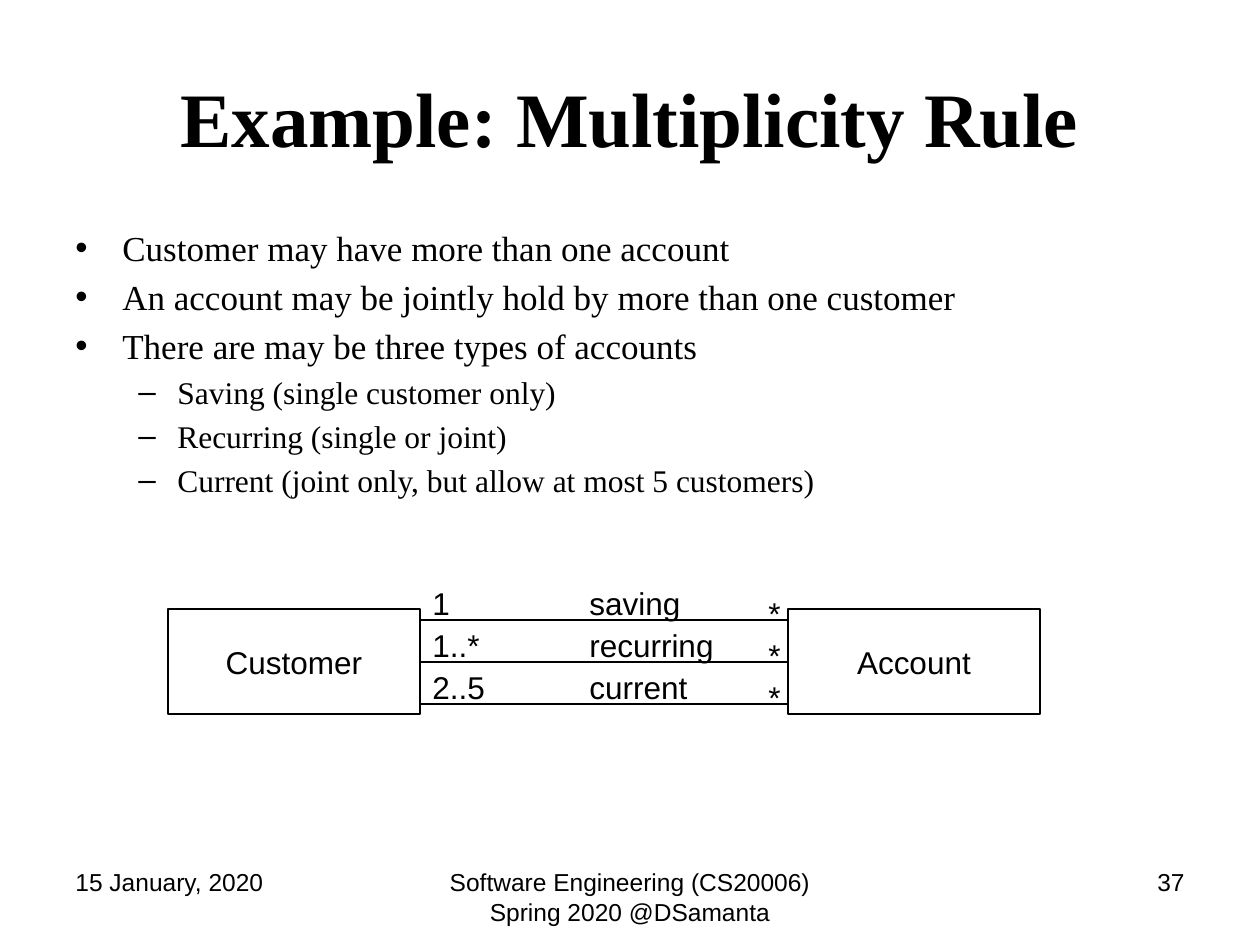
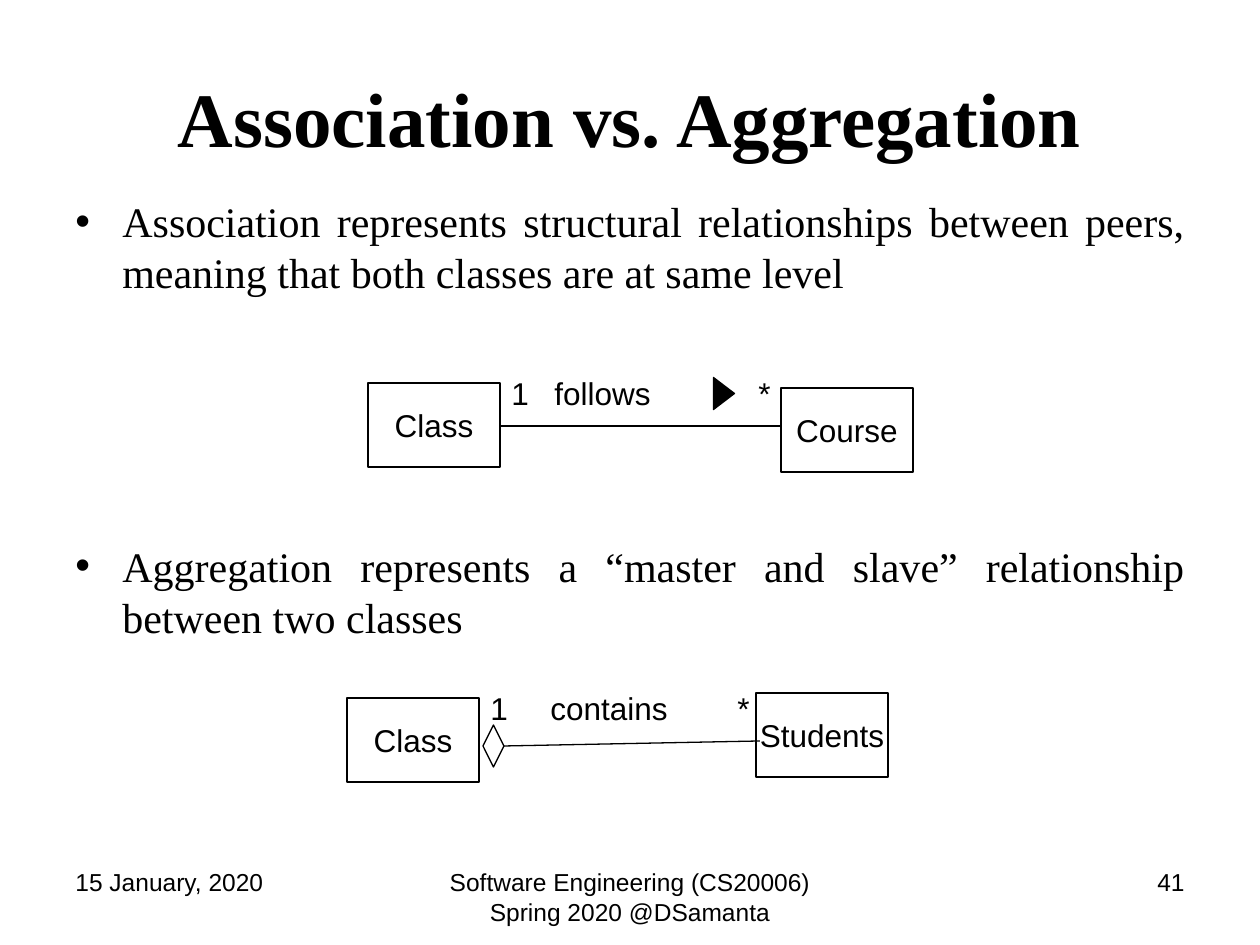
"""Build two class-diagram slides: multiplicity rule, and association vs. aggregation."""
from lxml import etree
from pptx import Presentation
from pptx.dml.color import RGBColor
from pptx.enum.shapes import MSO_CONNECTOR, MSO_SHAPE
from pptx.enum.text import MSO_ANCHOR, PP_ALIGN
from pptx.oxml.ns import qn
from pptx.util import Emu, Pt

SCALE = 914400 // 126
LEFT, CENTER, RIGHT, JUSTIFY = PP_ALIGN.LEFT, PP_ALIGN.CENTER, PP_ALIGN.RIGHT, PP_ALIGN.JUSTIFY
TOP, MIDDLE = MSO_ANCHOR.TOP, MSO_ANCHOR.MIDDLE
RECTANGLE, STRAIGHT = MSO_SHAPE.RECTANGLE, MSO_CONNECTOR.STRAIGHT
TRIANGLE, DIAMOND = MSO_SHAPE.FLOWCHART_EXTRACT, MSO_SHAPE.FLOWCHART_DECISION
COLORS = {"ink": "000000", "paper": "FFFFFF"}
SERIF, SANS = "Times New Roman", "Arial"
MARGIN, CONTENT_WIDTH = 63, 1134
FOOTER_TOP, FOOTER_HEIGHT = 861, 66
LABEL_HEIGHT = 50
LEVELS = [("•", 47, 47), ("–", 102, 39)]

DATE = "15 January, 2020"
COURSE = "Software Engineering (CS20006) Spring 2020 @DSamanta"

RULES = [
    (0, "Customer may have more than one account", 20, 0),
    (0, "An account may be jointly hold by more than one customer", 20, 4),
    (0, "There are may be three types of accounts", 20, 4),
    (1, "Saving (single customer only)", 18, 3.6),
    (1, "Recurring (single or joint)", 18, 3.6),
    (1, "Current (joint only, but allow at most 5 customers)", 18, 3.6),
]
ACCOUNT_TYPES = [("1", 43, "saving", 116), ("1..*", 73, "recurring", 150), ("2..5", 78, "current", 123)]
DEFINITIONS = [
    (0, "Association represents structural relationships between peers, "
        "meaning that both classes are at same level", 24, 0),
    (0, "Aggregation represents a “master and slave” relationship between two classes", 24, 139),
]
RELATIONS = [
    {"boxes": [("Class", 368, 383), ("Course", 781, 388)], "line": (500, 426, 781, 426),
     "labels": [("1", 499, 43), ("follows", 542, 150), ("*", 746, 38)], "label_top": 368},
    {"boxes": [("Class", 347, 698), ("Students", 756, 693)], "line": (504, 746, 760, 741),
     "labels": [("1", 478, 43), ("contains", 538, 150), ("*", 725, 38)], "label_top": 683},
]


def px(*lengths):
    return [Emu(round(length * SCALE)) for length in lengths]


def color(name):
    return RGBColor.from_string(COLORS[name])


def add_run(paragraph, text, size, font, bold=False):
    run = paragraph.add_run()
    run.text = text
    run.font.size = Pt(size)
    run.font.name = font
    run.font.bold = bold
    run.font.color.rgb = color("ink")


def add_text(slide, box, text, size=18, font=SANS, align=LEFT, anchor=TOP, wrap=True, bold=False):
    frame = slide.shapes.add_textbox(*px(*box)).text_frame
    frame.word_wrap = wrap
    frame.vertical_anchor = anchor
    frame.paragraphs[0].alignment = align
    add_run(frame.paragraphs[0], text, size, font, bold)


def add_label(slide, text, left, top, width):
    add_text(slide, (left, top, width, LABEL_HEIGHT), text, wrap=False)


def add_outline(slide, kind, box, fill=None):
    shape = slide.shapes.add_shape(kind, *px(*box))
    shape.shadow.inherit = False
    shape.line.color.rgb = color("ink")
    shape.line.width = Pt(0.75)
    if fill:
        shape.fill.solid()
        shape.fill.fore_color.rgb = color(fill)
    else:
        shape.fill.background()
    return shape


def add_class(slide, name, *box):
    frame = add_outline(slide, RECTANGLE, box).text_frame
    frame.word_wrap = False
    frame.vertical_anchor = MIDDLE
    frame.paragraphs[0].alignment = CENTER
    add_run(frame.paragraphs[0], name, 18, SANS)


def add_line(slide, *ends):
    line = slide.shapes.add_connector(STRAIGHT, *px(*ends))
    line.line.color.rgb = color("ink")
    line.line.width = Pt(0.75)
    etree.SubElement(line.element.spPr, qn("a:effectLst"))


def add_bullets(slide, top, height, items, align=LEFT, line_spacing=None):
    frame = slide.shapes.add_textbox(*px(MARGIN, top, CONTENT_WIDTH, height)).text_frame
    frame.word_wrap = True
    for index, (level, text, size, space) in enumerate(items):
        paragraph = frame.add_paragraph() if index else frame.paragraphs[0]
        paragraph.level = level
        paragraph.alignment = align
        paragraph.space_before = Pt(space)
        paragraph.line_spacing = line_spacing
        mark, margin, hang = LEVELS[level]
        properties = paragraph._p.get_or_add_pPr()
        properties.set("marL", str(px(margin)[0]))
        properties.set("indent", str(-px(hang)[0]))
        etree.SubElement(properties, qn("a:buFont")).set("typeface", SANS)
        etree.SubElement(properties, qn("a:buChar")).set("char", mark)
        add_run(paragraph, text, size, SERIF)


def add_slide(presentation, title, number):
    slide = presentation.slides.add_slide(presentation.slide_layouts[6])
    slide.background.fill.solid()
    slide.background.fill.fore_color.rgb = color("paper")
    add_text(slide, (MARGIN, 38, CONTENT_WIDTH, 157), title, 44, SERIF, CENTER, MIDDLE, bold=True)
    footers = [(DATE, MARGIN, 294, LEFT), (COURSE, 430, 400, CENTER), (number, 903, 294, RIGHT)]
    for text, left, width, align in footers:
        add_text(slide, (left, FOOTER_TOP, width, FOOTER_HEIGHT), text, 14, align=align)
    return slide


def build_multiplicity(presentation):
    slide = add_slide(presentation, "Example: Multiplicity Rule", "37")
    add_bullets(slide, 220, 624, RULES)
    add_class(slide, "Customer", 168, 609, 252, 105)
    add_class(slide, "Account", 788, 609, 252, 105)
    for row, (count, count_width, name, name_width) in enumerate(ACCOUNT_TYPES):
        top = 578 + 42 * row
        add_line(slide, 420, top + 42, 788, top + 42)
        add_label(slide, count, 420, top, count_width)
        add_label(slide, name, 577, top, name_width)
        add_label(slide, "*", 756, top + 10, 38)


def build_aggregation(presentation):
    slide = add_slide(presentation, "Association vs. Aggregation", "41")
    add_bullets(slide, 189, 655, DEFINITIONS, JUSTIFY, Pt(29))
    for relation in RELATIONS:
        for name, left, top in relation["boxes"]:
            add_class(slide, name, left, top, 132, 84)
        add_line(slide, *relation["line"])
        for text, left, width in relation["labels"]:
            add_label(slide, text, left, relation["label_top"], width)
    add_outline(slide, TRIANGLE, (708, 383, 32, 21), "ink").rotation = 90
    add_outline(slide, DIAMOND, (483, 725, 21, 42))


presentation = Presentation()
presentation.slide_width, presentation.slide_height = px(1260, 945)
build_multiplicity(presentation)
build_aggregation(presentation)
presentation.save("out.pptx")
